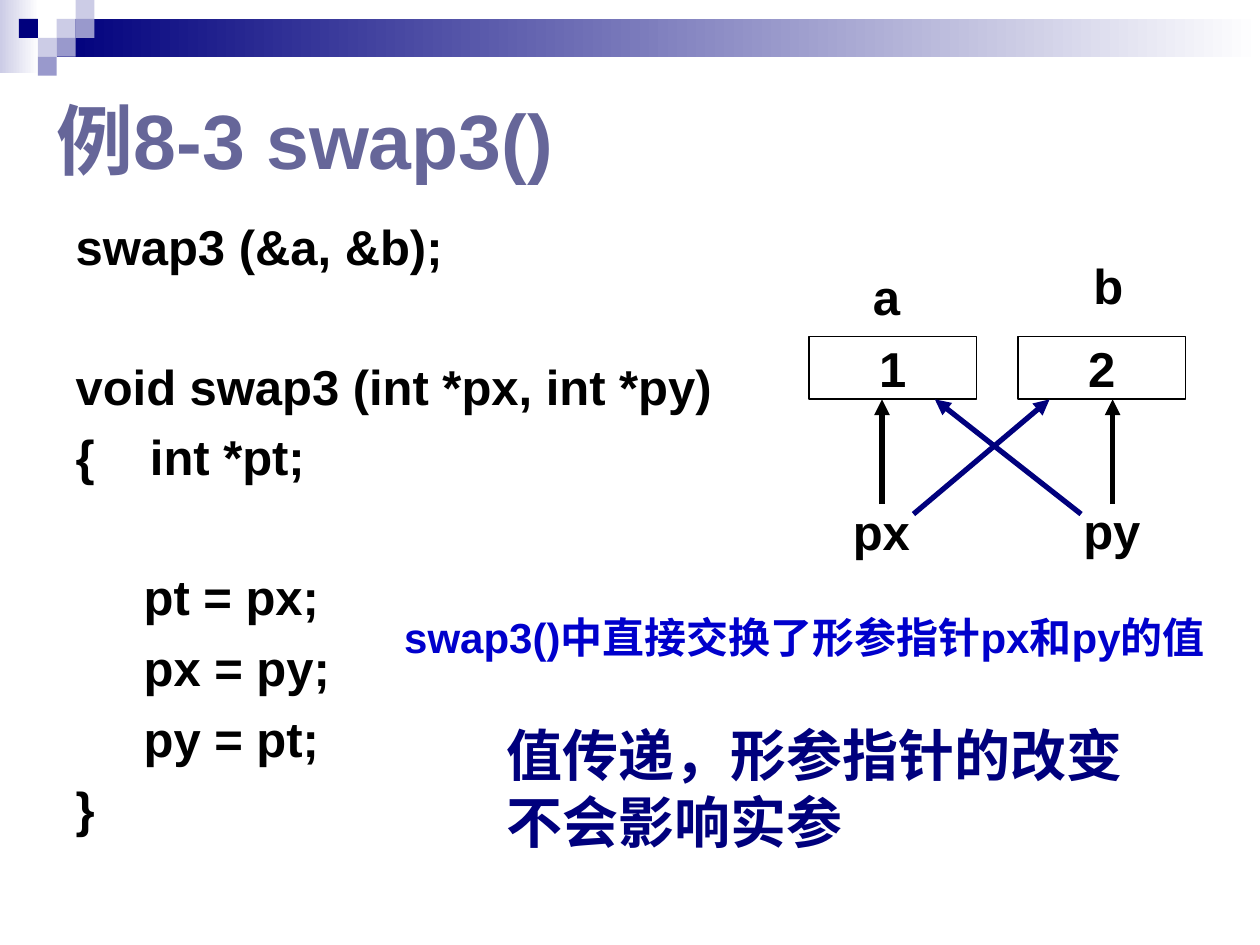
from dataclasses import dataclass
from lxml import etree
from pptx import Presentation
from pptx.dml.color import RGBColor
from pptx.enum.shapes import MSO_CONNECTOR, MSO_SHAPE
from pptx.enum.text import MSO_ANCHOR, MSO_AUTO_SIZE, PP_ALIGN
from pptx.oxml.ns import qn
from pptx.util import Inches, Pt

RECTANGLE = MSO_SHAPE.RECTANGLE
STRAIGHT = MSO_CONNECTOR.STRAIGHT
LEFT, CENTER, JUSTIFY = PP_ALIGN.LEFT, PP_ALIGN.CENTER, PP_ALIGN.JUSTIFY
TOP, MIDDLE, BOTTOM = MSO_ANCHOR.TOP, MSO_ANCHOR.MIDDLE, MSO_ANCHOR.BOTTOM


@dataclass(frozen=True)
class Theme:
    navy: str = "00007D"
    blue: str = "0000CC"
    slate: str = "666699"
    lilac: str = "9999CC"
    pale: str = "CCCCE6"
    white: str = "FFFFFF"
    black: str = "000000"
    font: str = "Arial"
    mono: str = "Courier New"
    title_size: int = 44
    code_size: int = 28
    note_size: int = 24
    conclusion_size: int = 32


THEME = Theme()
WIDTH, HEIGHT = 10, 7.5

TITLE = "例8-3 swap3()"
LINE_GAP, BLANK_GAP = 6.9, 46
BRACE_INDENT, CODE_INDENT = 0.59, 0.54
CODE = [
    ("swap3 (&a, &b);", 0, 0, LINE_GAP),
    ("void swap3 (int *px, int *py)", 0, 0, BLANK_GAP),
    ("{\tint *pt;", BRACE_INDENT, -BRACE_INDENT, LINE_GAP),
    ("pt = px;", CODE_INDENT, 0, BLANK_GAP),
    ("px = py;", CODE_INDENT, 0, LINE_GAP),
    ("py = pt;", CODE_INDENT, 0, LINE_GAP),
    ("}", 0, 0, LINE_GAP),
]
NOTE = "swap3()中直接交换了形参指针px和py的值"
CONCLUSION = "值传递，形参指针的改变不会影响实参"

TILE = 0.15
TILES = [
    (3, 1, THEME.pale), (4, 0, THEME.pale), (4, 1, THEME.lilac),
    (2, 2, THEME.pale), (1, 1, THEME.navy), (3, 2, THEME.lilac),
    (2, 3, THEME.lilac),
]
BANDS = [
    ((0, 0, 0.31, 0.58), THEME.pale),
    ((3 * TILE, TILE, WIDTH - 3 * TILE, 2 * TILE), THEME.navy),
]

CELL_TOP, CELL_WIDTH, CELL_HEIGHT = 2.67, 1.33, 0.5
CELL_BOTTOM = CELL_TOP + CELL_HEIGHT
CELLS = [("1", 6.42), ("2", 8.08)]
LABELS = [
    ("a", (6.83, 2.07, 0.42, 0.57)),
    ("b", (8.58, 1.98, 0.44, 0.57)),
    ("px", (6.67, 3.93, 0.83, 0.57)),
    ("py", (8.5, 3.92, 0.83, 0.57)),
]
ARROWS = [
    (7, 4, 7, THEME.black),
    (8.83, 4, 8.83, THEME.black),
    (7.25, 4.08, 8.33, THEME.navy),
    (8.58, 4.08, 7.42, THEME.navy),
]


def color(value):
    return RGBColor.from_string(value)


def place(shape, box):
    shape.left, shape.top, shape.width, shape.height = map(Inches, box)


def write(paragraph, text, size=THEME.code_size, ink=THEME.black,
          font=THEME.font, align=LEFT, before=0, spacing=1.0):
    run = paragraph.add_run()
    run.text = text
    run.font.name, run.font.size, run.font.bold = font, Pt(size), True
    run.font.color.rgb = color(ink)
    paragraph.alignment = align
    paragraph.space_before = Pt(before)
    paragraph.line_spacing = spacing


def prepare(shape, anchor=TOP, wrap=True):
    frame = shape.text_frame
    frame.word_wrap = wrap
    frame.auto_size = MSO_AUTO_SIZE.NONE
    frame.vertical_anchor = anchor
    return frame.paragraphs[0]


def add_text(slide, text, box, wrap=True, **style):
    shape = slide.shapes.add_textbox(*map(Inches, box))
    write(prepare(shape, wrap=wrap), text, **style)


def add_rectangle(slide, box):
    shape = slide.shapes.add_shape(RECTANGLE, *map(Inches, box))
    shape.shadow.inherit = False
    shape.line.fill.background()
    return shape


def add_header(slide):
    for box, start in BANDS:
        fill = add_rectangle(slide, box).fill
        fill.gradient()
        fill.gradient_angle = 0
        for stop, value, position in zip(fill.gradient_stops, (start, THEME.white), (0, 1)):
            stop.color.rgb = color(value)
            stop.position = position
    for column, row, value in TILES:
        shape = add_rectangle(slide, (column * TILE, row * TILE, TILE, TILE))
        shape.fill.solid()
        shape.fill.fore_color.rgb = color(value)


def set_indent(paragraph, margin, indent):
    properties = paragraph._p.get_or_add_pPr()
    properties.set("marL", str(Inches(margin)))
    properties.set("indent", str(Inches(indent)))
    etree.SubElement(properties, qn("a:buNone"))


def add_code(slide):
    body = slide.placeholders[1]
    place(body, (0.5, 1.67, 6.23, 4.83))
    paragraph = prepare(body)
    for index, (text, margin, indent, gap) in enumerate(CODE):
        if index:
            paragraph = body.text_frame.add_paragraph()
        write(paragraph, text, before=gap)
        set_indent(paragraph, margin, indent)


def add_arrow(slide, start_x, start_y, end_x, ink):
    arrow = slide.shapes.add_connector(
        STRAIGHT, *map(Inches, (start_x, start_y, end_x, CELL_BOTTOM)))
    arrow.line.color.rgb = color(ink)
    arrow.line.width = Pt(3)
    etree.SubElement(arrow.line._get_or_add_ln(), qn("a:tailEnd"), type="triangle")
    etree.SubElement(arrow._element.spPr, qn("a:effectLst"))


def add_diagram(slide):
    for text, left in CELLS:
        cell = add_rectangle(slide, (left, CELL_TOP, CELL_WIDTH, CELL_HEIGHT))
        cell.fill.background()
        cell.line.color.rgb = color(THEME.black)
        cell.line.width = Pt(1)
        write(prepare(cell, anchor=MIDDLE, wrap=False), text, align=CENTER)
    for text, box in LABELS:
        add_text(slide, text, box, wrap=False)
    for arrow in ARROWS:
        add_arrow(slide, *arrow)


def main():
    presentation = Presentation()
    presentation.slide_width, presentation.slide_height = Inches(WIDTH), Inches(HEIGHT)
    slide = presentation.slides.add_slide(presentation.slide_layouts[1])
    add_header(slide)
    title = slide.shapes.title
    place(title, (0.35, 0.6, 5, 0.92))
    write(prepare(title, anchor=BOTTOM), TITLE, size=THEME.title_size, ink=THEME.slate)
    add_code(slide)
    add_diagram(slide)
    add_text(slide, CONCLUSION, (3.92, 5.67, 5.5, 1.17),
             size=THEME.conclusion_size, ink=THEME.navy, font=THEME.mono)
    add_text(slide, NOTE, (3.11, 4.85, 6.69, 0.46), size=THEME.note_size,
             ink=THEME.blue, align=JUSTIFY, spacing=0.9)
    presentation.save("out.pptx")


if __name__ == "__main__":
    main()
